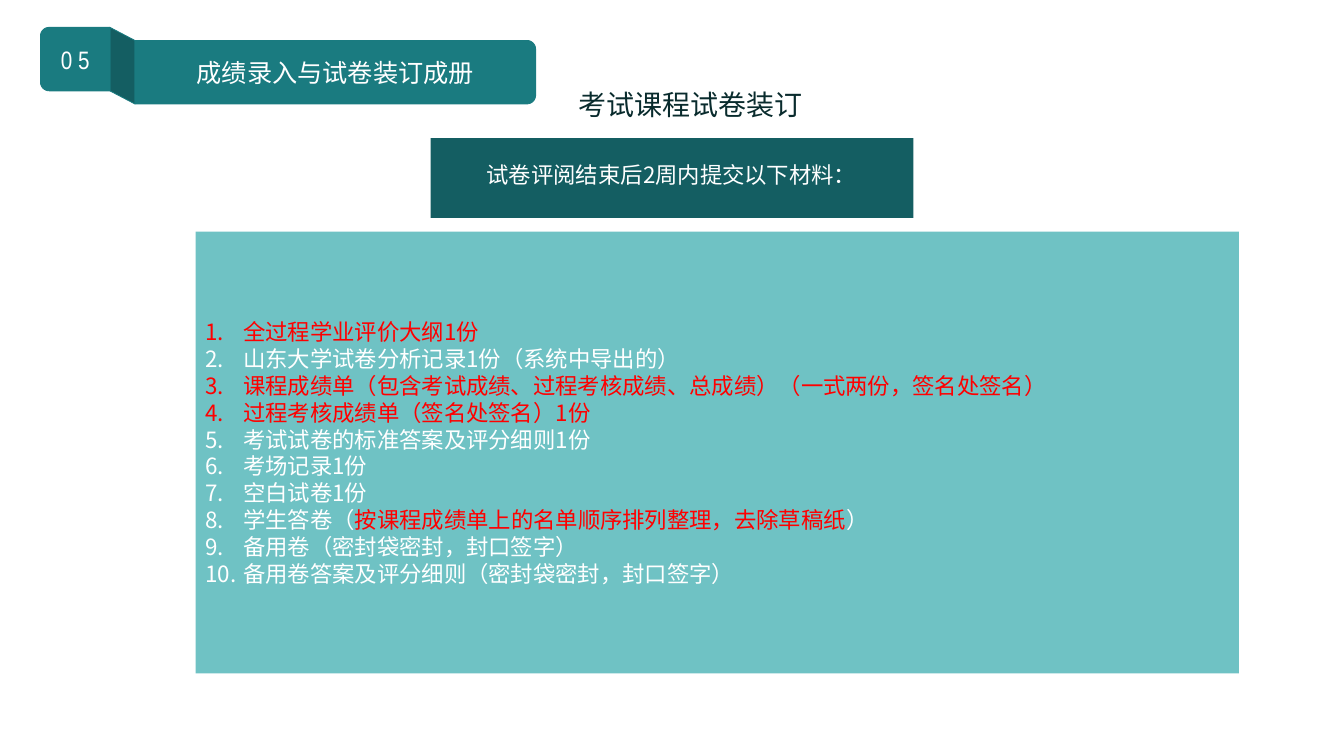
"""Build the slide on binding exam papers for examined courses."""
from dataclasses import dataclass
from math import cos, pi, sin

from lxml.etree import SubElement
from pptx import Presentation
from pptx.dml.color import RGBColor as Rgb
from pptx.enum.shapes import MSO_SHAPE as Preset
from pptx.enum.text import MSO_ANCHOR as Anchor, PP_ALIGN as Align
from pptx.oxml.ns import qn
from pptx.shapes.autoshape import Shape
from pptx.slide import Slide
from pptx.text.text import TextFrame, _Paragraph as Paragraph
from pptx.util import Cm, Length, Pt


@dataclass(frozen=True)
class Theme:
    """Colours, fonts and type sizes of the slide."""
    teal: Rgb = Rgb(0x1A, 0x7B, 0x80)
    deep: Rgb = Rgb(0x14, 0x5E, 0x62)
    panel: Rgb = Rgb(0x33, 0xA9, 0xAB)
    ink: Rgb = Rgb(0x09, 0x2B, 0x2D)
    white: Rgb = Rgb(0xFF, 0xFF, 0xFF)
    red: Rgb = Rgb(0xFF, 0x00, 0x00)
    body_font: str = "Noto Sans CJK SC"
    number_font: str = "Arial Narrow"
    title: Length = Pt(20)
    heading: Length = Pt(18)
    body: Length = Pt(16)
    outline: Length = Pt(0.6)


@dataclass(frozen=True)
class Box:
    """A rectangle in centimetres."""
    left: float
    top: float
    width: float
    height: float

    def lengths(self) -> tuple[Length, ...]:
        """Return left, top, width and height as lengths."""
        return Cm(self.left), Cm(self.top), Cm(self.width), Cm(self.height)


@dataclass(frozen=True)
class Material:
    """A required document; every second phrase of several is red."""
    phrases: tuple[str, ...]
    urgent: bool = False


THEME = Theme()
TAB = Box(1.02, 0.69, 1.75, 1.6)
BANNER = Box(3.4, 1.02, 10.1, 1.6)
TITLE = Box(14.33, 2.08, 6.22, 1.12)
DEADLINE_BAND = Box(10.85, 3.48, 12.17, 2.01)
DEADLINE = Box(11.63, 3.94, 10.59, 0.94)
PANEL = Box(4.93, 5.84, 26.29, 11.13)
CORNER = 0.22
INDENT = Cm(0.95)
MATERIALS = (
    Material(("全过程学业评价大纲1份",), True),
    Material(("山东大学试卷分析记录1份（系统中导出的）",)),
    Material(("课程成绩单（包含考试成绩、过程考核成绩、总成绩）（一式两份，签名处签名）",), True),
    Material(("过程考核成绩单（签名处签名）1份",), True),
    Material(("考试试卷的标准答案及评分细则1份",)),
    Material(("考场记录1份",)),
    Material(("空白试卷1份",)),
    Material(("学生答卷（", "按课程成绩单上的名单顺序排列整理，去除草稿纸", "）")),
    Material(("备用卷（密封袋密封，封口签字）",)),
    Material(("备用卷答案及评分细则（密封袋密封，封口签字）",)),
)


def style(paragraph: Paragraph, size: Length, color: Rgb, face: str = THEME.body_font) -> None:
    """Set the font of a paragraph for Latin and East Asian text."""
    font = paragraph.font
    font.size, font.name = size, face
    font.color.rgb = color
    defaults = paragraph._p.get_or_add_pPr().find(qn("a:defRPr"))
    SubElement(defaults, qn("a:ea")).set("typeface", face)


def outline_shape(slide: Slide, points: list[tuple[float, float]], fill: Rgb) -> Shape:
    """Draw a closed outline through points in centimetres."""
    start, *rest = [(Cm(x), Cm(y)) for x, y in points]
    builder = slide.shapes.build_freeform(*start)
    builder.add_line_segments(rest, close=True)
    shape = builder.convert_to_shape()
    shape.shadow.inherit = False
    shape.fill.solid()
    shape.fill.fore_color.rgb = fill
    shape.line.color.rgb = THEME.teal
    shape.line.width = THEME.outline
    return shape


def half_rounded(box: Box, round_right: bool) -> list[tuple[float, float]]:
    """Return the outline of a box with both corners of one side rounded."""
    sign = 1 if round_right else -1
    round_x = box.left + (box.width if round_right else 0)
    flat_x = box.left + (0 if round_right else box.width)
    center_x = round_x - sign * CORNER
    middle = box.top + box.height / 2
    points = [(flat_x, box.top)]
    for half, start in ((-1, -pi / 2), (1, 0)):
        center_y = middle + half * (box.height / 2 - CORNER)
        angles = [start + step * pi / 16 for step in range(9)]
        points += [(center_x + sign * CORNER * cos(a), center_y + CORNER * sin(a)) for a in angles]
    return points + [(flat_x, box.top + box.height)]


def add_ribbon_end(slide: Slide, box: Box, round_right: bool, text: str, face: str) -> None:
    """Draw a labelled end of the heading ribbon."""
    frame = outline_shape(slide, half_rounded(box, round_right), THEME.teal).text_frame
    frame.margin_left = frame.margin_top = frame.margin_right = frame.margin_bottom = 0
    frame.vertical_anchor = Anchor.MIDDLE
    frame.text = text
    frame.paragraphs[0].alignment = Align.CENTER
    style(frame.paragraphs[0], THEME.heading, THEME.white, face)


def add_fold(slide: Slide) -> None:
    """Draw the dark fold that joins the tab to the banner."""
    left = TAB.left + TAB.width
    corners = [(left, TAB.top), (BANNER.left, BANNER.top),
               (BANNER.left, BANNER.top + BANNER.height), (left, TAB.top + TAB.height)]
    outline_shape(slide, corners, THEME.deep)


def add_label(slide: Slide, box: Box, text: str, size: Length, color: Rgb,
              wrap: bool, align: Align) -> None:
    """Add a one-line text box."""
    frame = slide.shapes.add_textbox(*box.lengths()).text_frame
    frame.word_wrap = wrap
    frame.text = text
    frame.paragraphs[0].alignment = align
    style(frame.paragraphs[0], size, color)


def add_block(slide: Slide, box: Box, fill: Rgb) -> Shape:
    """Draw a plain filled rectangle."""
    block = slide.shapes.add_shape(Preset.RECTANGLE, *box.lengths())
    block.shadow.inherit = False
    block.fill.solid()
    block.fill.fore_color.rgb = fill
    block.line.fill.background()
    return block


def write_materials(frame: TextFrame) -> None:
    """Write the numbered list of documents to hand in."""
    frame.vertical_anchor = Anchor.MIDDLE
    for index, material in enumerate(MATERIALS):
        paragraph = frame.add_paragraph() if index else frame.paragraphs[0]
        paragraph.alignment = Align.LEFT
        properties = paragraph._p.get_or_add_pPr()
        properties.set("marL", str(INDENT))
        properties.set("indent", str(-INDENT))
        SubElement(properties, qn("a:buFont")).set("typeface", "+mj-lt")
        SubElement(properties, qn("a:buAutoNum")).set("type", "arabicPeriod")
        style(paragraph, THEME.body, THEME.red if material.urgent else THEME.white)
        for position, phrase in enumerate(material.phrases):
            run = paragraph.add_run()
            run.text = phrase
            if len(material.phrases) > 1:
                run.font.color.rgb = THEME.red if position % 2 else THEME.white


def add_panel(slide: Slide) -> None:
    """Draw the translucent panel with the list of documents."""
    panel = add_block(slide, PANEL, THEME.panel)
    color = panel._element.spPr.find(qn("a:solidFill"))[0]
    SubElement(color, qn("a:alpha")).set("val", "70000")
    write_materials(panel.text_frame)


def main() -> None:
    """Build and save the presentation."""
    deck = Presentation()
    deck.slide_width, deck.slide_height = Cm(33.87), Cm(19.05)
    slide = deck.slides.add_slide(deck.slide_layouts[6])
    add_label(slide, TITLE, "考试课程试卷装订", THEME.title, THEME.ink, False, Align.LEFT)
    add_block(slide, DEADLINE_BAND, THEME.deep)
    add_label(slide, DEADLINE, "试卷评阅结束后2周内提交以下材料：", THEME.body, THEME.white,
              True, Align.CENTER)
    add_ribbon_end(slide, BANNER, True, "成绩录入与试卷装订成册", THEME.body_font)
    add_fold(slide)
    add_ribbon_end(slide, TAB, False, "0 5", THEME.number_font)
    add_panel(slide)
    deck.save("out.pptx")


if __name__ == "__main__":
    main()
